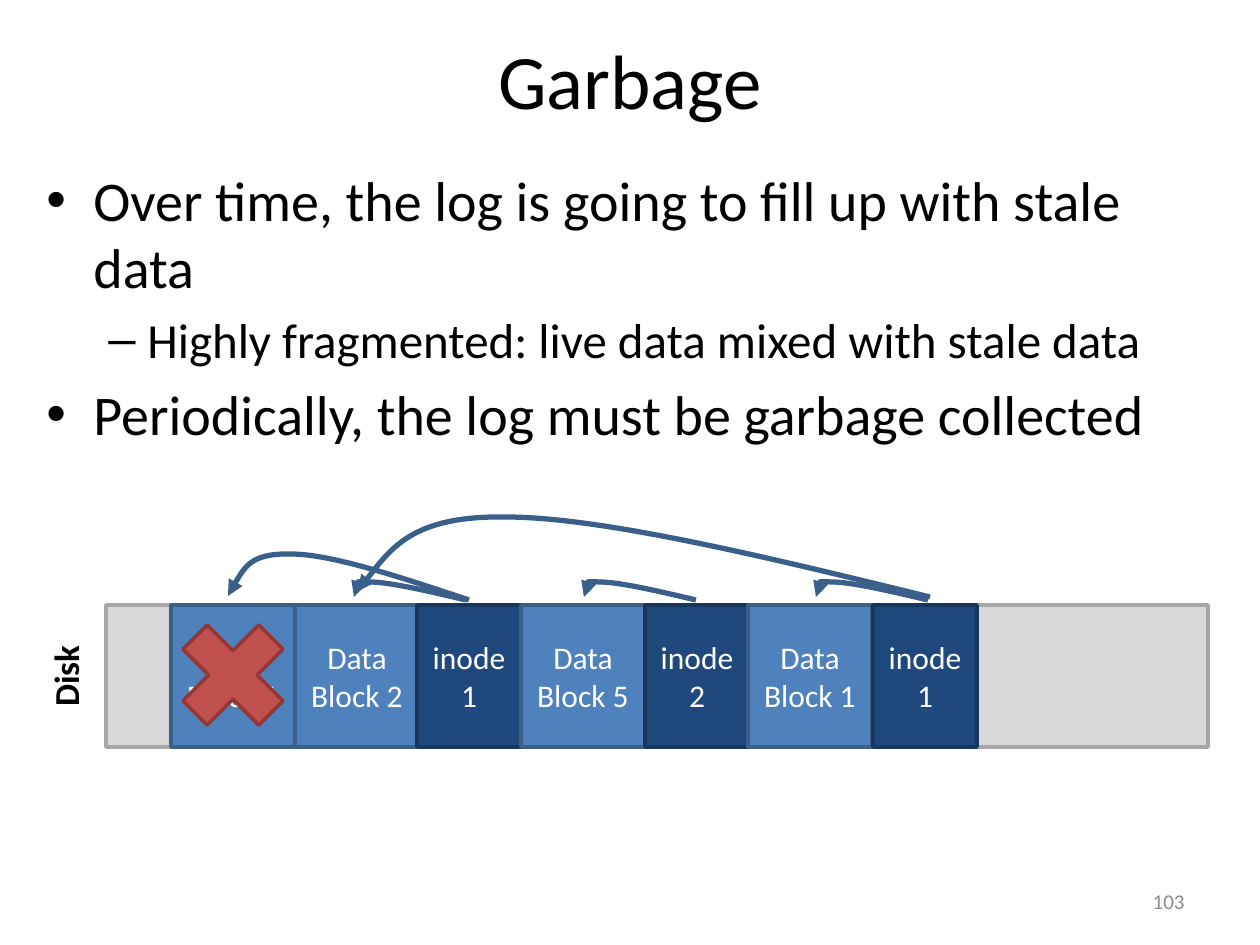
import pptx
import pptx.util
import pptx.dml.color
import pptx.enum.shapes
import pptx.enum.text
import pptx.oxml.ns
import lxml.etree

RGB = pptx.dml.color.RGBColor
BLACK = RGB(0x00, 0x00, 0x00)
WHITE = RGB(0xFF, 0xFF, 0xFF)
MUTED = RGB(0x8B, 0x8B, 0x8B)
GREY = RGB(0xD9, 0xD9, 0xD9)
EDGE = RGB(0xA6, 0xA6, 0xA6)
BLUE = RGB(0x4F, 0x81, 0xBD)
STEEL = RGB(0x3A, 0x5F, 0x8B)
NAVY = RGB(0x1F, 0x49, 0x7D)
DEEP = RGB(0x17, 0x37, 0x5E)
RED = RGB(0xC0, 0x50, 0x4D)
MAROON = RGB(0x95, 0x37, 0x35)

SCALE = 914400 / 126
FONT = "Calibri"
ALIGN = pptx.enum.text.PP_ALIGN
ANCHOR = pptx.enum.text.MSO_ANCHOR
SHAPE = pptx.enum.shapes.MSO_SHAPE
Pt = pptx.util.Pt
qn = pptx.oxml.ns.qn

TOP, HIGH = 605, 142
BLOCKS = [
    (171, "Data Block 1"), (295, "Data Block 2"), (417, "inode\n1"),
    (521, "Data Block 5"), (645, "inode\n2"),
    (748, "Data Block 1"), (873, "inode\n1"),
]
# Each curve: start, then two cubic segments of three points.
SHORT = [(466, 600), (428, 591), (389, 582), (370, 582),
         (352, 581), (353, 589), (354, 597)]
MIDDLE = [(469, 600), (400, 577), (331, 554), (291, 554),
          (251, 553), (239, 575), (228, 596)]
LONG = [(930, 597), (767, 557), (605, 518), (509, 517),
        (415, 515), (386, 553), (358, 591)]
BULLETS = [
    (0, "Over time, the log is going to fill up with stale data"),
    (1, "Highly fragmented: live data mixed with stale data"),
    (0, "Periodically, the log must be garbage collected"),
]
# Per level: mark, left margin, hanging indent, text size, space before.
LEVELS = [("•", 48, 47, 32, 6.4), ("–", 102, 39, 28, 5.6)]


def px(num):
    return round(num * SCALE)


def style(para, size, color, bold=False):
    font = para.font
    font.name, font.size, font.bold = FONT, Pt(size), bold
    font.color.rgb = color


def write(frame, text, size, color, align=ALIGN.CENTER, bold=False):
    frame.word_wrap = True
    frame.vertical_anchor = ANCHOR.MIDDLE
    frame.text = text
    for para in frame.paragraphs:
        para.alignment = align
        style(para, size, color, bold)


def add_box(slide, *rect):
    return slide.shapes.add_textbox(*map(px, rect))


def add_form(slide, kind, rect, fill, line):
    form = slide.shapes.add_shape(kind, *map(px, rect))
    form.shadow.inherit = False
    form.fill.solid()
    form.fill.fore_color.rgb = fill
    form.line.color.rgb = line
    form.line.width = Pt(2)
    return form


def add_block(slide, left, label):
    if label.startswith("inode"):
        wide, fill, line = 104, NAVY, DEEP
    else:
        wide, fill, line = 124, BLUE, STEEL
    block = add_form(slide, SHAPE.RECTANGLE, (left, TOP, wide, HIGH), fill, line)
    write(block.text_frame, label, 18, WHITE)


def add_curve(slide, points, shift=0):
    """Draw a cubic curve that ends in an arrowhead."""
    start, *rest = [(x + shift, y) for x, y in points]
    maker = slide.shapes.build_freeform(*start, scale=SCALE)
    maker.add_line_segments(rest, close=False)
    curve = maker.convert_to_shape()
    curve.shadow.inherit = False
    curve.fill.background()
    curve.line.color.rgb = STEEL
    curve.line.width = Pt(3)
    props = curve._element.spPr
    steps = list(props.iter(qn("a:lnTo")))
    for at in range(0, len(steps), 3):
        owner = steps[at].getparent()
        bend = lxml.etree.SubElement(owner, qn("a:cubicBezTo"))
        for step in steps[at:at + 3]:
            bend.append(step[0])
            owner.remove(step)
    lxml.etree.SubElement(props.find(qn("a:ln")), qn("a:tailEnd"), type="triangle")


def add_list(slide):
    frame = add_box(slide, 33, 159, 1196, 713).text_frame
    frame.word_wrap = True
    frame.text = "\n".join(text for _, text in BULLETS)
    for num, (para, (level, _)) in enumerate(zip(frame.paragraphs, BULLETS)):
        mark, left, hang, size, gap = LEVELS[level]
        para.level = level
        if num:
            para.space_before = Pt(gap)
        props = para._p.get_or_add_pPr()
        props.set("marL", str(px(left)))
        props.set("indent", str(-px(hang)))
        lxml.etree.SubElement(props, qn("a:buFont"), typeface="Arial")
        lxml.etree.SubElement(props, qn("a:buChar"), char=mark)
        style(para, size, BLACK)


def add_disk(slide):
    add_form(slide, SHAPE.RECTANGLE, (106, TOP, 1102, HIGH), GREY, EDGE)
    label = add_box(slide, -25, 649, 180, 54)
    label.rotation = 270
    write(label.text_frame, "Disk", 20, BLACK, bold=True)
    for left, text in BLOCKS:
        add_block(slide, left, text)
    for shift in (0, 230, 462):
        add_curve(slide, SHORT, shift)
    add_curve(slide, MIDDLE)
    add_curve(slide, LONG)
    cross = add_form(slide, SHAPE.MATH_MULTIPLY, (160, 602, 146, 146), RED, MAROON)
    cross.adjustments[0] = 0.235


def main():
    deck = pptx.Presentation()
    deck.slide_width, deck.slide_height = px(1260), px(945)
    slide = deck.slides.add_slide(deck.slide_layouts[6])
    write(add_box(slide, 63, 0, 1134, 158).text_frame, "Garbage", 44, BLACK)
    add_list(slide)
    number = add_box(slide, 903, 876, 294, 50)
    write(number.text_frame, "103", 12, MUTED, ALIGN.RIGHT)
    add_disk(slide)
    deck.save("out.pptx")


if __name__ == "__main__":
    main()
